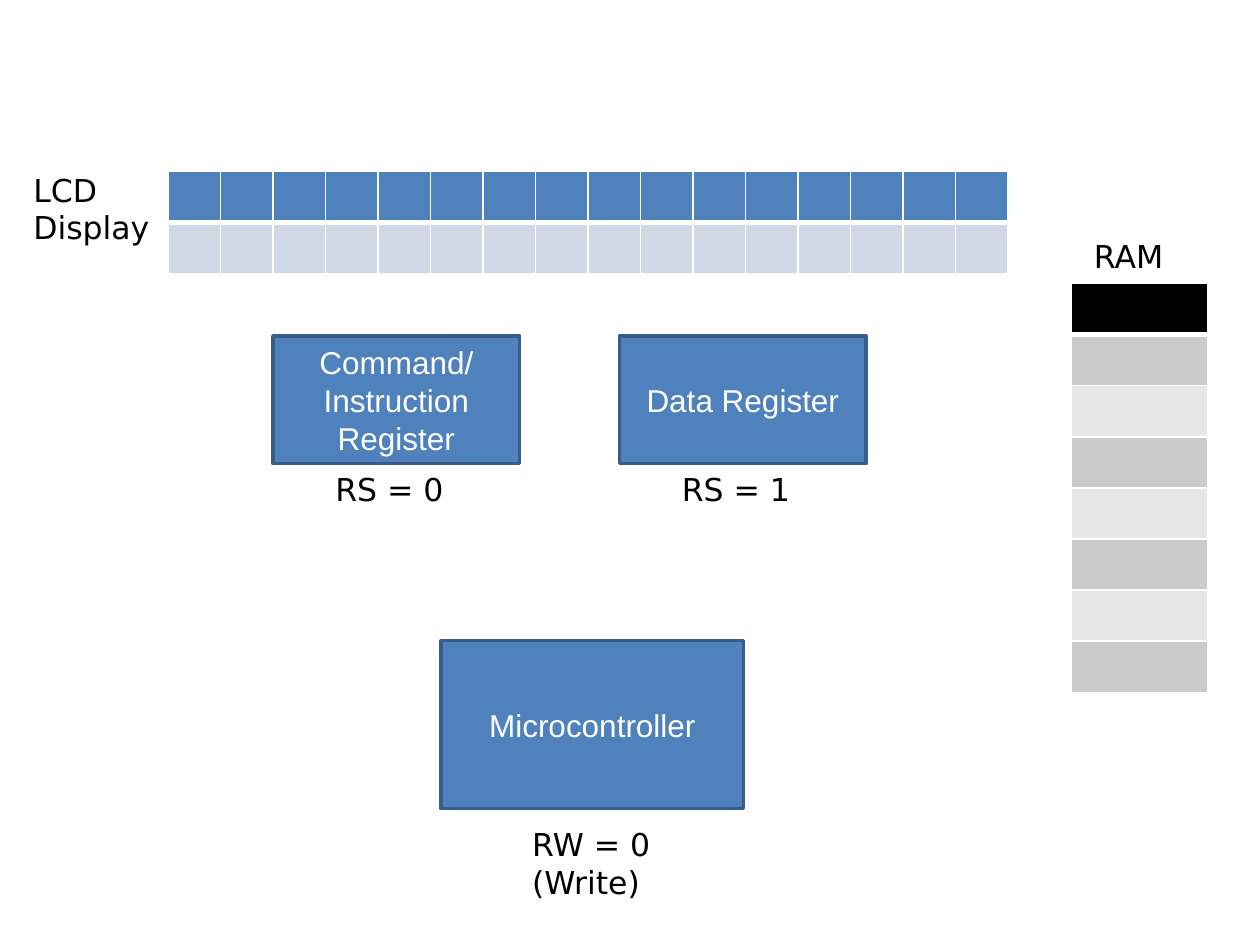
from lxml.etree import SubElement
from pptx import Presentation
from pptx.dml.color import RGBColor
from pptx.enum.shapes import MSO_SHAPE as Shape
from pptx.enum.text import MSO_ANCHOR as Anchor, PP_ALIGN as Align
from pptx.oxml.ns import qn
from pptx.util import Pt

BLUE = RGBColor(0x4F, 0x81, 0xBD)
NAVY = RGBColor(0x38, 0x5D, 0x8A)
PALE_BLUE = RGBColor(0xD0, 0xD8, 0xE8)
GRAY = RGBColor(0xCB, 0xCB, 0xCB)
LIGHT_GRAY = RGBColor(0xE7, 0xE7, 0xE7)
BLACK = RGBColor(0, 0, 0)
WHITE = RGBColor(0xFF, 0xFF, 0xFF)


class Deck:
    """Holds the style and the current slide."""
    size = Pt(18)
    label_font = "DejaVu Sans"
    box_font = "Arial"

    def __init__(self):
        self.prs = Presentation()
        self.prs.slide_width, self.prs.slide_height = Pt(720), Pt(540)
        self.s = self.prs.slides.add_slide(self.prs.slide_layouts[6])

    def set_text(self, tf, lines, font, color, align):
        tf.word_wrap = True
        tf.text = lines
        for p in tf.paragraphs:
            p.alignment = align
            p.font.size, p.font.name = self.size, font
            p.font.color.rgb = color

    def label(self, x, y, w, h, lines):
        sp = self.s.shapes.add_textbox(Pt(x), Pt(y), Pt(w), Pt(h))
        self.set_text(sp.text_frame, lines, self.label_font, BLACK, Align.LEFT)

    def box(self, x, y, w, h, text):
        sp = self.s.shapes.add_shape(Shape.RECTANGLE, Pt(x), Pt(y), Pt(w), Pt(h))
        sp.shadow.inherit = False
        sp.fill.solid()
        sp.fill.fore_color.rgb = BLUE
        sp.line.color.rgb, sp.line.width = NAVY, Pt(2)
        sp.text_frame.vertical_anchor = Anchor.MIDDLE
        self.set_text(sp.text_frame, text, self.box_font, WHITE, Align.CENTER)

    def border(self, cell, side, width):
        ln = SubElement(cell._tc.get_or_add_tcPr(), qn(f"a:ln{side}"), w=str(Pt(width)))
        fill = SubElement(ln, qn("a:solidFill"))
        SubElement(fill, qn("a:srgbClr"), val=str(WHITE))

    def grid(self, x, y, cols, col_w, row_h, fills):
        """Empty cells, one fill per row, with a thick rule under the first row."""
        rows = len(fills)
        table = self.s.shapes.add_table(
            rows, cols, Pt(x), Pt(y), Pt(cols * col_w), Pt(rows * row_h)).table
        for col in table.columns:
            col.width = Pt(col_w)
        for i, (row, color) in enumerate(zip(table.rows, fills)):
            row.height = Pt(row_h)
            for cell in row.cells:
                for side in "LRTB":
                    thick = (i, side) in ((0, "B"), (1, "T"))
                    self.border(cell, side, 3 if thick else 1)
                cell.fill.solid()
                cell.fill.fore_color.rgb = color


def main():
    deck = Deck()

    # LCD display and RAM
    deck.grid(96, 98, 16, 30, 29.2, [BLUE, PALE_BLUE])
    deck.grid(612, 162, 1, 78, 29.2, [BLACK] + [GRAY, LIGHT_GRAY] * 3 + [GRAY])
    deck.label(12, 94, 90, 51, "LCD\nDisplay")
    deck.label(618, 132, 90, 29, "RAM")

    # Registers with their select values
    registers = ["Command/ Instruction Register", "Data Register"]
    for i, name in enumerate(registers):
        x = 156 + 198 * i
        deck.box(x, 192, 141, 73, name)
        deck.label(x + 28.5, 265, 84, 29, f"RS = {i}")

    # Microcontroller
    deck.box(252, 366, 173, 96, "Microcontroller")
    deck.label(297, 468, 93, 51, "RW = 0 (Write)")

    deck.prs.save("out.pptx")


if __name__ == "__main__":
    main()
